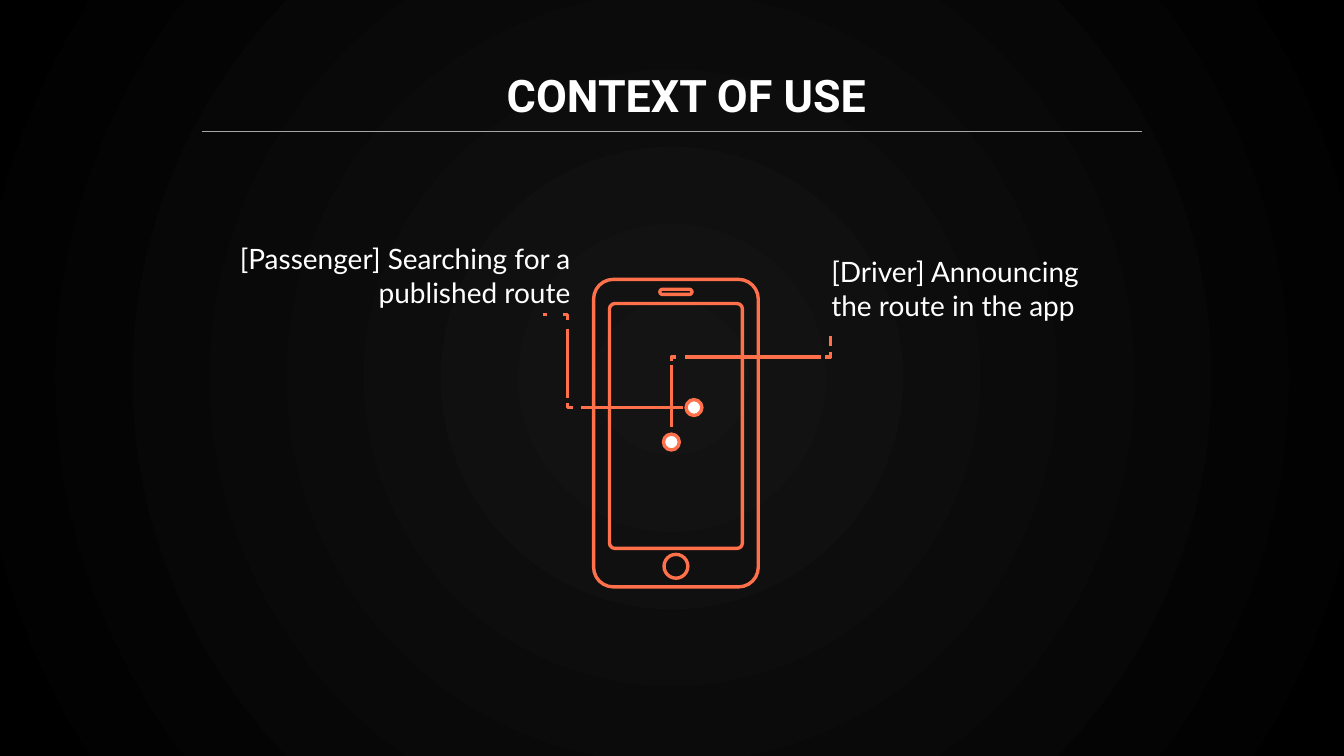
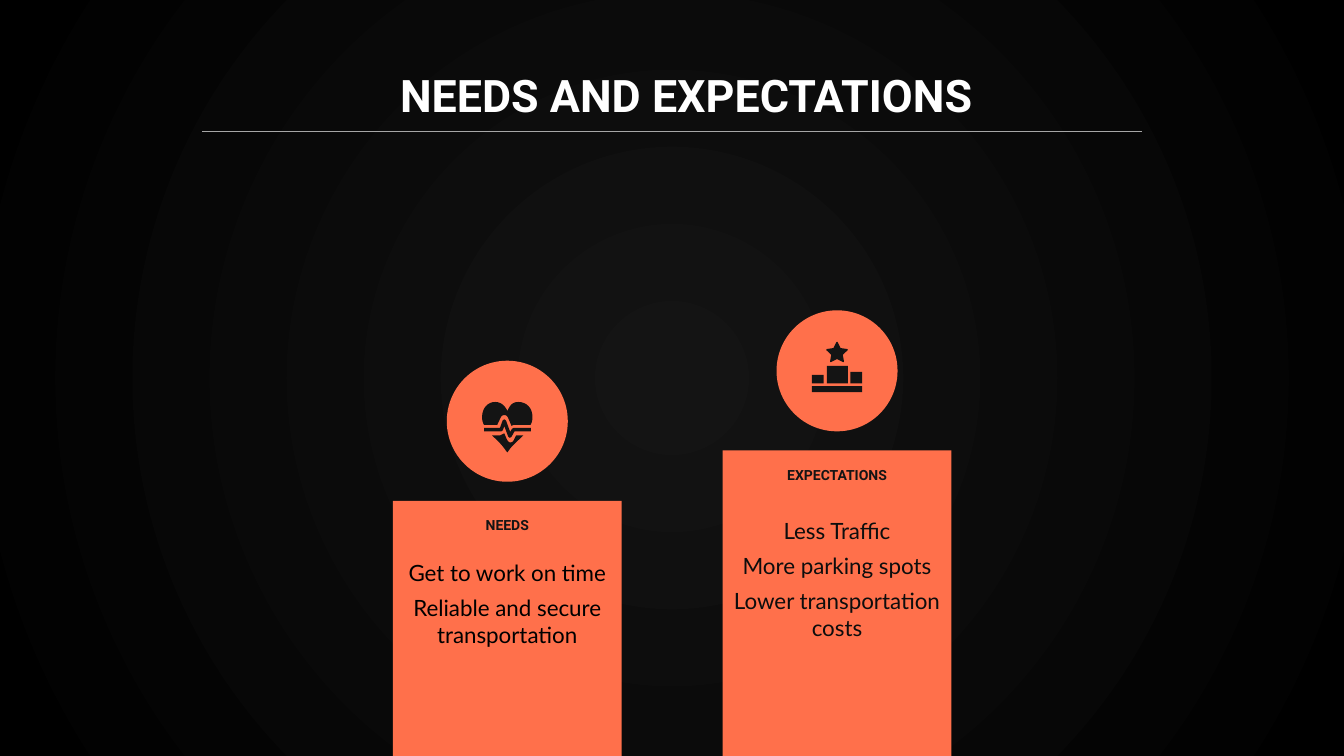
from lxml import etree
from pptx import Presentation
from pptx.dml.color import RGBColor
from pptx.enum import shapes, text
from pptx.oxml.ns import qn
from pptx.util import Cm, Pt

ORANGE, WHITE, INK, BLACK, RULE = "FF704B", "FFFFFF", "141414", "000000", "A6A6A6"
HEAD_FONT, BODY_FONT = "Roboto", "Lato"
SLIDE_W, SLIDE_H = 33.87, 19.05
STROKE = 2.4
INSET = 0.25
ICON = 1.27
KIND = shapes.MSO_SHAPE
ALIGN = text.PP_ALIGN
ANCHOR = text.MSO_ANCHOR


def rgb(value):
    return RGBColor.from_string(value)


def paint(sp, fill=None, line=None, width=STROKE):
    """Set fill and outline; None means there is none."""
    sp.shadow.inherit = False
    if fill:
        sp.fill.solid()
        sp.fill.fore_color.rgb = rgb(fill)
    else:
        sp.fill.background()
    if line:
        sp.line.color.rgb = rgb(line)
        sp.line.width = Pt(width)
    else:
        sp.line.fill.background()
    return sp


def add_shape(s, kind, x, y, w, h, **look):
    return paint(s.shapes.add_shape(kind, Cm(x), Cm(y), Cm(w), Cm(h)), **look)


def add_line(s, start, end, color=ORANGE, width=STROKE):
    c = s.shapes.add_connector(
        shapes.MSO_CONNECTOR.STRAIGHT, *(Cm(v) for v in (*start, *end)))
    c.line.color.rgb = rgb(color)
    c.line.width = Pt(width)
    etree.SubElement(c._element.spPr, qn("a:effectLst"))


def flatten(steps, pieces=8):
    """Turn points and cubic curves (x1, y1, x2, y2, x, y) into points."""
    points = [steps[0]]
    for step in steps[1:]:
        if len(step) == 2:
            points.append(step)
            continue
        controls = [points[-1], step[:2], step[2:4], step[4:]]
        for i in range(1, pieces + 1):
            t = i / pieces
            weights = ((1 - t) ** 3, 3 * t * (1 - t) ** 2, 3 * t * t * (1 - t), t ** 3)
            points.append(tuple(
                sum(k * c[axis] for k, c in zip(weights, controls)) for axis in (0, 1)))
    return points


def add_outline(s, x, y, steps, close=True, **look):
    points = [(Cm(x + px), Cm(y + py)) for px, py in flatten(steps)]
    builder = s.shapes.build_freeform(*points[0], scale=1.0)
    builder.add_line_segments(points[1:], close=close)
    return paint(builder.convert_to_shape(), **look)


def write(tf, lines, font=BODY_FONT, size=20, color=WHITE, bold=False,
          align=ALIGN.LEFT, anchor=ANCHOR.TOP, after=0, inset=None):
    tf.word_wrap = True
    tf.auto_size = text.MSO_AUTO_SIZE.NONE
    tf.vertical_anchor = anchor
    if inset is not None:
        tf.margin_left = tf.margin_right = tf.margin_top = tf.margin_bottom = Cm(inset)
    for i, line in enumerate(lines):
        p = tf.paragraphs[0] if i == 0 else tf.add_paragraph()
        p.alignment = align
        p.space_after = Pt(after)
        r = p.add_run()
        r.text = line
        r.font.name, r.font.size, r.font.bold = font, Pt(size), bold
        r.font.color.rgb = rgb(color)


def add_text(s, x, y, w, h, lines, **style):
    box = s.shapes.add_textbox(Cm(x), Cm(y), Cm(w), Cm(h))
    write(box.text_frame, lines, **style)


def set_background(master):
    """Give every slide the same radial gradient."""
    fill = master.background.fill
    fill.gradient()
    for stop, color in zip(fill.gradient_stops, (INK, BLACK)):
        stop.color.rgb = rgb(color)
    grad = master.element.find(".//" + qn("p:bg")).find(".//" + qn("a:gradFill"))
    grad.remove(grad.find(qn("a:lin")))
    radial = etree.SubElement(grad, qn("a:path"), path="circle")
    etree.SubElement(radial, qn("a:fillToRect"), l="50000", t="50000", r="50000", b="50000")


def add_titled_slide(prs, title):
    s = prs.slides.add_slide(prs.slide_layouts.get_by_name("Title Only"))
    sp = s.shapes.title
    sp.left, sp.top, sp.width, sp.height = Cm(4.78), Cm(1.63), Cm(25.04), Cm(1.68)
    write(sp.text_frame, [title], font=HEAD_FONT, size=32, bold=True,
          align=ALIGN.CENTER, anchor=ANCHOR.BOTTOM, inset=INSET)
    add_line(s, (5.1, 3.31), (28.78, 3.31), RULE, 0.75)
    return s


def draw_phone(s, x, y, w, h):
    def centred(kind, top, part_w, part_h, corner=None):
        sp = add_shape(s, kind, x + (w - part_w) / 2, y + top, part_w, part_h, line=ORANGE)
        if corner is not None:
            sp.adjustments[0] = corner

    centred(KIND.ROUNDED_RECTANGLE, 0, w, h, 0.12)
    centred(KIND.ROUNDED_RECTANGLE, 0.61, w - 0.8, h - 1.58, 0.04)
    centred(KIND.ROUNDED_RECTANGLE, 0.25, 0.81, 0.13, 0.5)
    centred(KIND.OVAL, h - 0.82, 0.6, 0.6)


def draw_leader(s, x, y, dashes, dot, d=0.4):
    """Draw broken line pieces and the dot at their end."""
    for dash in dashes:
        if len(dash) == 2:
            add_line(s, *((x + px, y + py) for px, py in dash))
        else:
            add_outline(s, x, y, dash, close=False, line=ORANGE)
    add_shape(s, KIND.OVAL, x + dot[0] - d / 2, y + dot[1] - d / 2, d, d,
              fill=WHITE, line=ORANGE)


def draw_heart(s, x, y):
    lobes = [(0.33, 0), (0.15, 0, 0, 0.15, 0, 0.38), (0, 0.46, 0.02, 0.53, 0.05, 0.58),
             (0.38, 0.58), (0.46, 0.41), (0.48, 0.36, 0.51, 0.33, 0.56, 0.33),
             (0.61, 0.33, 0.64, 0.36, 0.66, 0.41), (0.74, 0.6), (0.79, 0.58), (1.22, 0.58),
             (1.25, 0.53, 1.27, 0.46, 1.27, 0.38), (1.27, 0.15, 1.12, 0, 0.91, 0),
             (0.76, 0, 0.69, 0.1, 0.64, 0.23), (0.58, 0.1, 0.48, 0, 0.33, 0)]
    tip = [(0.56, 0.79), (0.46, 0.84), (0.25, 0.84), (0.3, 0.89),
           (0.41, 0.99, 0.51, 1.09, 0.61, 1.24), (0.64, 1.27), (0.66, 1.24),
           (0.76, 1.09, 0.89, 0.99, 0.99, 0.89), (1.04, 0.84), (0.86, 0.84), (0.81, 0.94),
           (0.79, 0.99, 0.76, 1.02, 0.71, 1.02), (0.66, 1.02, 0.64, 0.97, 0.61, 0.91)]
    pulse = [(0.05, 0.7), (0.48, 0.7), (0.56, 0.48), (0.7, 0.86), (0.79, 0.7), (1.23, 0.7)]
    for part in (lobes, tip):
        add_outline(s, x, y, part, fill=INK)
    add_outline(s, x, y, pulse, close=False, line=INK, width=2.5)


def draw_podium(s, x, y):
    floor = 1.05
    for left, top, w in ((0, 0.84, 0.3), (0.38, 0.61, 0.53), (0.97, 0.76, 0.3)):
        add_shape(s, KIND.RECTANGLE, x + left, y + top, w, floor - top, fill=INK)
    add_shape(s, KIND.RECTANGLE, x, y + 1.12, ICON, 0.15, fill=INK)
    star = add_shape(s, KIND.STAR_5_POINT, x + 0.38, y + 0.02, 0.51, 0.48,
                     fill=INK, line=INK, width=1)
    star.adjustments[0] = 0.25


def draw_column(s, x, y, heading, lines, color, body_top, draw_icon, icon_top):
    """Draw a column down to the slide's foot, with a badge above it."""
    w, d, gap = 5.77, 3.05, 0.48
    badge_y = y - gap - d
    add_shape(s, KIND.RECTANGLE, x, y, w, SLIDE_H - y, fill=ORANGE)
    add_shape(s, KIND.OVAL, x + (w - d) / 2, badge_y, d, d, fill=ORANGE)
    draw_icon(s, x + (w - ICON) / 2, badge_y + icon_top)
    add_text(s, x, y, w, 1.07, [heading], font=HEAD_FONT, size=10, color=INK, bold=True,
             align=ALIGN.CENTER, anchor=ANCHOR.BOTTOM, inset=INSET)
    add_text(s, x, y + body_top, w, 3.43, lines, size=16, color=color,
             align=ALIGN.CENTER, after=6)


def build_context(prs):
    s = add_titled_slide(prs, "CONTEXT OF USE")
    x, y = 14.96, 7.04
    passenger = [[(-1.27, 0.89), (-1.17, 0.89)],
                 [(-0.76, 0.89), (-0.66, 0.89), (-0.66, 1.02)],
                 [(-0.66, 1.24), (-0.66, 3)],
                 [(-0.66, 3.12), (-0.66, 3.23), (-0.53, 3.23)],
                 [(-0.33, 3.23), (2.26, 3.23)]]
    driver = [[(1.96, 3.71), (1.96, 2.16)],
              [(1.96, 2.06), (1.96, 1.96), (2.08, 1.96)],
              [(2.31, 1.96), (5.74, 1.96)],
              [(5.84, 1.96), (5.97, 1.96), (5.97, 1.83)],
              [(5.97, 1.68), (5.97, 1.42)]]
    draw_phone(s, x, y, 4.15, 7.75)
    draw_leader(s, x, y, passenger, (2.53, 3.23))
    draw_leader(s, x, y, driver, (1.96, 4.1))
    add_text(s, 20.7, 6.3, 6.96, 1.96, ["[Driver] Announcing the route in the app"])
    add_text(s, 5.46, 5.97, 9.17, 1.96, ["[Passenger] Searching for a published route"],
             align=ALIGN.RIGHT)


def build_needs(prs):
    s = add_titled_slide(prs, "NEEDS AND EXPECTATIONS")
    draw_column(s, 18.21, 11.35, "EXPECTATIONS",
                ["Less Traffic", "More parking spots", "Lower transportation costs"],
                "0D0D0D", 1.55, draw_podium, 0.79)
    draw_column(s, 9.9, 12.62, "NEEDS",
                ["Get to work on time", "Reliable and secure transportation"],
                BLACK, 1.35, draw_heart, 1.04)


def main():
    prs = Presentation()
    prs.slide_width, prs.slide_height = Cm(SLIDE_W), Cm(SLIDE_H)
    set_background(prs.slide_master)
    build_context(prs)
    build_needs(prs)
    prs.save("out.pptx")


if __name__ == "__main__":
    main()
